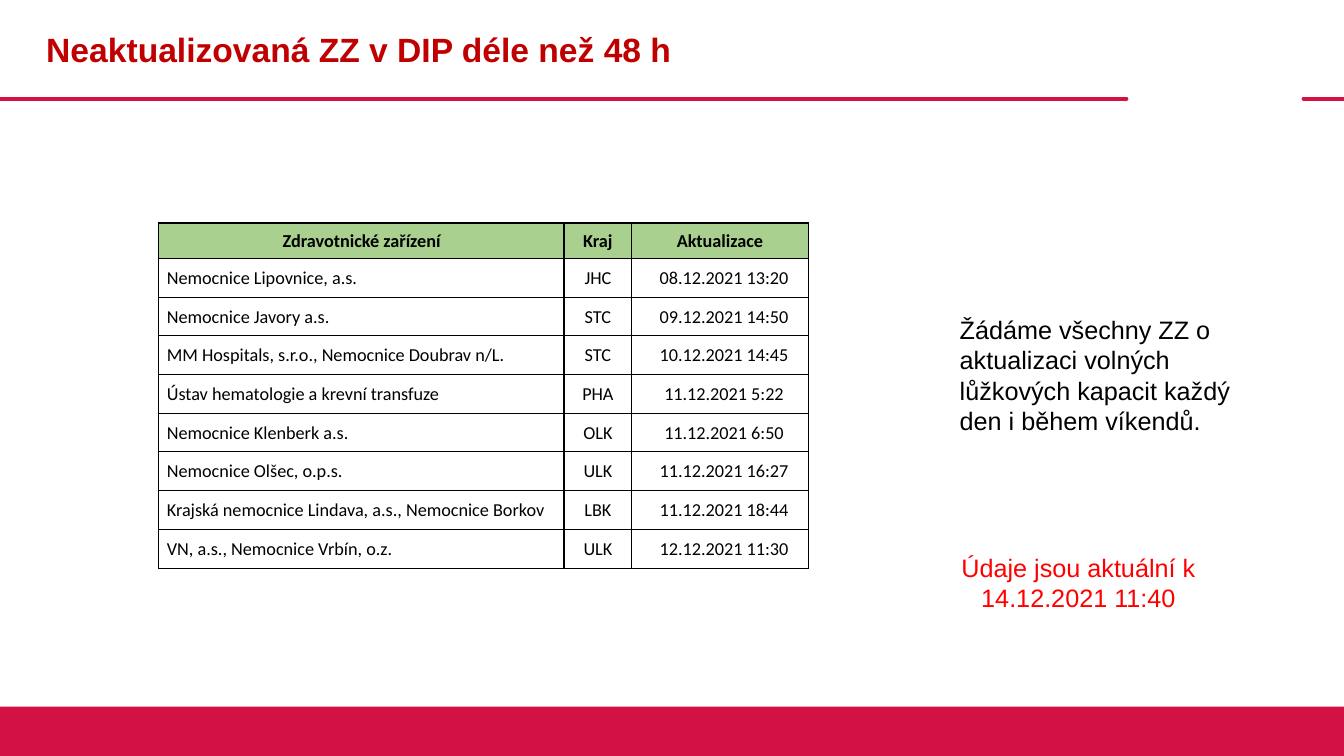
from dataclasses import dataclass

import pptx
import pptx.dml.color
import pptx.enum.shapes
import pptx.enum.text
import pptx.oxml
import pptx.oxml.ns
import pptx.util
from lxml import etree

TITLE = "Neaktualizovaná ZZ v DIP déle než 48 h"
REQUEST = "Žádáme všechny ZZ o aktualizaci volných lůžkových kapacit každý den i během víkendů."
DATA_STATUS = "Údaje jsou aktuální k 14.12.2021 11:40"
HEADER = ("Zdravotnické zařízení", "Kraj", "Aktualizace")
FACILITIES = [
    ("Nemocnice Lipovnice, a.s.", "JHC", "08.12.2021 13:20"),
    ("Nemocnice Javory a.s.", "STC", "09.12.2021 14:50"),
    ("MM Hospitals, s.r.o., Nemocnice Doubrav n/L.", "STC", "10.12.2021 14:45"),
    ("Ústav hematologie a krevní transfuze", "PHA", "11.12.2021 5:22"),
    ("Nemocnice Klenberk a.s.", "OLK", "11.12.2021 6:50"),
    ("Nemocnice Olšec, o.p.s.", "ULK", "11.12.2021 16:27"),
    ("Krajská nemocnice Lindava, a.s., Nemocnice Borkov", "LBK", "11.12.2021 18:44"),
    ("VN, a.s., Nemocnice Vrbín, o.z.", "ULK", "12.12.2021 11:30"),
]


@dataclass(frozen=True)
class Theme:
    brand: str = "D31145"
    title: str = "C00000"
    alert: str = "FF0000"
    ink: str = "000000"
    paper: str = "FFFFFF"
    header: str = "A9D08E"
    text_font: str = "Arial"
    table_font: str = "Calibri"
    title_size: int = 24
    text_size: int = 18
    table_size: int = 13
    rule_width: int = 3


THEME = Theme()
WIDTH, HEIGHT = pptx.util.Inches(13.33), pptx.util.Inches(7.5)

# Percent of the slide's width or height
RULE_Y = 13.07
RULE_SPANS = [(0, 83.8), (97, 100)]
FOOTER_TOP = 93.47
TITLE_BOX = (2.7, 0, 81.1, RULE_Y)
REQUEST_BOX = (70.67, 40.93, 22.43, 17.47)
STATUS_BOX = (70.67, 72.4, 19.13, 9.47)
TABLE_LEFT, TABLE_TOP = 11.82, 29.5
COLUMN_WIDTHS = (30.15, 5.03, 13.13)
ROW_HEIGHTS = [4.67] + [5.12] * len(FACILITIES)

# Inches
CELL_INSET = 0.01
BODY_LEFT_INSETS = (0.08, CELL_INSET, 0.09)

ALIGN = pptx.enum.text.PP_ALIGN
ANCHOR = pptx.enum.text.MSO_ANCHOR


def across(percent):
    return round(WIDTH * percent / 100)


def down(percent):
    return round(HEIGHT * percent / 100)


def box_lengths(box):
    left, top, width, height = box
    return across(left), down(top), across(width), down(height)


def rgb(color):
    return pptx.dml.color.RGBColor.from_string(color)


def write(paragraph, text, font_name, size, color, bold=False, align=ALIGN.LEFT):
    paragraph.alignment = align
    run = paragraph.add_run()
    run.text = text
    run.font.name = font_name
    run.font.size = pptx.util.Pt(size)
    run.font.color.rgb = rgb(color)
    run.font.bold = bold


def add_text(slide, box, text, size, color, bold=False, align=ALIGN.LEFT, anchor=ANCHOR.TOP):
    frame = slide.shapes.add_textbox(*box_lengths(box)).text_frame
    frame.word_wrap = True
    frame.vertical_anchor = anchor
    write(frame.paragraphs[0], text, THEME.text_font, size, color, bold, align)


def add_rule(slide, start, end):
    rule = slide.shapes.add_connector(
        pptx.enum.shapes.MSO_CONNECTOR.STRAIGHT,
        across(start), down(RULE_Y), across(end), down(RULE_Y))
    rule.line.color.rgb = rgb(THEME.brand)
    rule.line.width = pptx.util.Pt(THEME.rule_width)
    rule.line._get_or_add_ln().set("cap", "rnd")
    properties = rule._element.spPr
    etree.SubElement(properties, pptx.oxml.ns.qn("a:effectLst"))


def add_footer(slide):
    footer = slide.shapes.add_shape(
        pptx.enum.shapes.MSO_SHAPE.RECTANGLE,
        *box_lengths((0, FOOTER_TOP, 100, 100 - FOOTER_TOP)))
    footer.shadow.inherit = False
    footer.fill.solid()
    footer.fill.fore_color.rgb = rgb(THEME.brand)
    footer.line.fill.background()


def set_borders(cell, top, bottom):
    """Draw the four cell edges; the sides are always 1 pt wide."""
    properties = cell._tc.get_or_add_tcPr()
    for side, points in (("L", 1), ("R", 1), ("T", top), ("B", bottom)):
        properties.append(pptx.oxml.parse_xml(
            f'<a:ln{side} {pptx.oxml.ns.nsdecls("a")} w="{pptx.util.Pt(points)}">'
            f'<a:solidFill><a:srgbClr val="{THEME.ink}"/></a:solidFill></a:ln{side}>'))


def fill_cell(cell, text, row, column):
    is_header = row == 0
    set_borders(cell, top=1 if row <= 1 else 0.5, bottom=1 if is_header else 0.5)
    cell.fill.solid()
    cell.fill.fore_color.rgb = rgb(THEME.header if is_header else THEME.paper)
    cell.vertical_anchor = ANCHOR.MIDDLE
    left_inset = CELL_INSET if is_header else BODY_LEFT_INSETS[column]
    cell.margin_left = pptx.util.Inches(left_inset)
    cell.margin_right = cell.margin_top = pptx.util.Inches(CELL_INSET)
    cell.margin_bottom = 0
    align = ALIGN.LEFT if column == 0 and not is_header else ALIGN.CENTER
    write(cell.text_frame.paragraphs[0], text, THEME.table_font,
          THEME.table_size, THEME.ink, is_header, align)


def add_facility_table(slide):
    box = (TABLE_LEFT, TABLE_TOP, sum(COLUMN_WIDTHS), sum(ROW_HEIGHTS))
    table = slide.shapes.add_table(
        len(ROW_HEIGHTS), len(COLUMN_WIDTHS), *box_lengths(box)).table
    table.horz_banding = False
    for column, width in zip(table.columns, COLUMN_WIDTHS):
        column.width = across(width)
    for row, height in zip(table.rows, ROW_HEIGHTS):
        row.height = down(height)
    for row, texts in enumerate([HEADER, *FACILITIES]):
        for column, text in enumerate(texts):
            fill_cell(table.cell(row, column), text, row, column)


def main():
    presentation = pptx.Presentation()
    presentation.slide_width, presentation.slide_height = WIDTH, HEIGHT
    slide = presentation.slides.add_slide(presentation.slide_layouts[6])
    for start, end in RULE_SPANS:
        add_rule(slide, start, end)
    add_footer(slide)
    add_text(slide, TITLE_BOX, TITLE, THEME.title_size, THEME.title,
             bold=True, anchor=ANCHOR.MIDDLE)
    add_text(slide, STATUS_BOX, DATA_STATUS, THEME.text_size, THEME.alert, align=ALIGN.CENTER)
    add_text(slide, REQUEST_BOX, REQUEST, THEME.text_size, THEME.ink)
    add_facility_table(slide)
    presentation.save("out.pptx")


if __name__ == "__main__":
    main()
